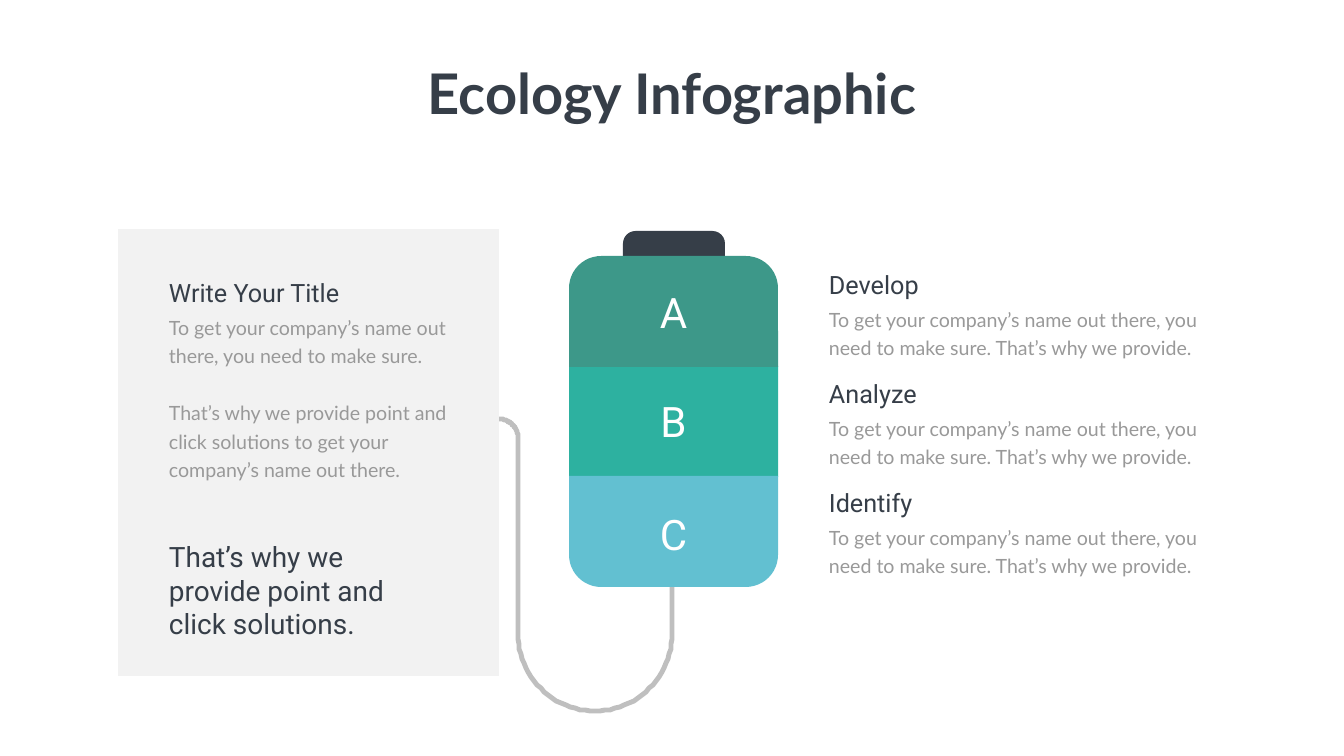
import math

import lxml.etree
import pptx
import pptx.dml.color
import pptx.enum.shapes
import pptx.enum.text
import pptx.oxml.ns
import pptx.util

# Content
TITLE = "Ecology Infographic"
PANEL_TITLE = "Write Your Title"
PANEL_BODY = [
    "To get your company’s name out there, you need to make sure.",
    "That’s why we provide point and click solutions to get your company’s name out there.",
]
PANEL_CLOSING = "That’s why we provide point and click solutions."
STEP_BODY = "To get your company’s name out there, you need to make sure. That’s why we provide."
STEPS = ["Develop", "Analyze", "Identify"]
# Letter, colour, letter top, corner rounding (top, bottom); A overlaps B
SEGMENTS = [
    ("A", "green", 284, (0.29, 0)),
    ("B", "teal", 393, (0, 0)),
    ("C", "sky", 506, (0, 0.29)),
]

# Style
COLORS = {"dark": "363E48", "muted": "999999", "gray": "808080", "white": "FFFFFF",
          "green": "3D9889", "teal": "2DB1A0", "sky": "62C0D1"}
FORMATS = {
    "title": {"name": "Lato", "size": 80, "bold": True, "color": "dark"},
    "heading": {"name": "Roboto", "size": 36, "color": "dark"},
    "closing": {"name": "Roboto", "size": 40, "color": "dark"},
    "letter": {"name": "Roboto", "size": 60, "color": "white"},
    "body": {"name": "Lato", "size": 28, "color": "muted"},
}
BODY_LEADING = pptx.util.Pt(40.8)
CENTER = pptx.enum.text.PP_ALIGN.CENTER
LEFT = pptx.enum.text.PP_ALIGN.LEFT
SHAPES = pptx.enum.shapes.MSO_SHAPE
SCALE = 914400 / 50.4

# Layout in px
SLIDE_SIZE = (1344, 756)
PANEL = (118, 229, 381, 447)
BATTERY_LEFT, BATTERY_TOP, BATTERY_WIDTH = 569, 256, 209
SEGMENT_HEIGHT, SEGMENT_PITCH = 111, 110
STEP_LEFT, STEP_TOP, STEP_PITCH, BODY_OFFSET = 824, 267, 109, 33


def px(value):
    return round(value * SCALE)


def rgb(name):
    return pptx.dml.color.RGBColor.from_string(COLORS[name])


def paint(fill, color, opacity=100):
    fill.solid()
    fill.fore_color.rgb = rgb(color)
    if opacity < 100:
        # The colour element sits inside the fill's solidFill
        element = fill._xPr.find(pptx.oxml.ns.qn("a:solidFill"))[0]
        alpha = lxml.etree.SubElement(element, pptx.oxml.ns.qn("a:alpha"))
        alpha.set("val", str(opacity * 1000))


def add_block(slide, preset, box, color, rounding=(), opacity=100):
    shape = slide.shapes.add_shape(preset, *map(px, box))
    shape.shadow.inherit = False
    shape.line.fill.background()
    paint(shape.fill, color, opacity)
    for index, value in enumerate(rounding):
        shape.adjustments[index] = value


def add_text(slide, box, texts, style, align=LEFT, wrap=True):
    frame = slide.shapes.add_textbox(*map(px, box)).text_frame
    frame.word_wrap = wrap
    frame.auto_size = pptx.enum.text.MSO_AUTO_SIZE.SHAPE_TO_FIT_TEXT
    for index, text in enumerate(texts):
        paragraph = frame.add_paragraph() if index else frame.paragraphs[0]
        paragraph.alignment = align
        if style == "body":
            paragraph.line_spacing = BODY_LEADING
            if index:
                paragraph.space_before = BODY_LEADING
        run = paragraph.add_run()
        run.text = text
        for key, value in FORMATS[style].items():
            if key == "color":
                run.font.color.rgb = rgb(value)
            else:
                setattr(run.font, key, pptx.util.Pt(value) if key == "size" else value)


def arc(center_x, center_y, radius, start, end, steps=48):
    angles = [math.radians(start + (end - start) * i / steps) for i in range(steps + 1)]
    return [(center_x + radius * math.cos(a), center_y + radius * math.sin(a)) for a in angles]


def add_cable(slide):
    points = arc(499, 438, 19, -90, 0) + arc(595, 634, 77, 180, 0) + [(672, 587)]
    builder = slide.shapes.build_freeform(*points[0], scale=SCALE)
    builder.add_line_segments(points[1:], close=False)
    cable = builder.convert_to_shape()
    cable.shadow.inherit = False
    cable.fill.background()
    cable.line.width = pptx.util.Pt(7)
    paint(cable.line.fill, "gray", 50)


def main():
    presentation = pptx.Presentation()
    presentation.slide_width, presentation.slide_height = map(px, SLIDE_SIZE)
    slide = presentation.slides.add_slide(presentation.slide_layouts[6])

    # Cable, battery cap and segments
    add_cable(slide)
    rounded = SHAPES.ROUND_2_SAME_RECTANGLE
    add_block(slide, rounded, (623, 231, 102, 25), "dark", (0.5, 0))
    for row in (1, 2, 0):
        letter, color, letter_top, rounding = SEGMENTS[row]
        box = (BATTERY_LEFT, BATTERY_TOP + row * SEGMENT_PITCH, BATTERY_WIDTH, SEGMENT_HEIGHT)
        add_block(slide, rounded, box, color, rounding)
    for letter, color, letter_top, rounding in SEGMENTS:
        add_text(slide, (639, letter_top, 69, 56), [letter], "letter", CENTER)

    # Left panel
    add_block(slide, SHAPES.RECTANGLE, PANEL, "gray", opacity=10)
    add_text(slide, (164, 308, 288, 176), PANEL_BODY, "body")
    add_text(slide, (164, 275, 288, 36), [PANEL_TITLE], "heading")
    add_text(slide, (164, 537, 268, 107), [PANEL_CLOSING], "closing")

    # Steps on the right
    for row, step in enumerate(STEPS):
        top = STEP_TOP + row * STEP_PITCH
        add_text(slide, (STEP_LEFT, top + BODY_OFFSET, 412, 60), [STEP_BODY], "body")
        add_text(slide, (STEP_LEFT, top, 221, 36), [step], "heading")

    # Title
    add_text(slide, (417, 56, 510, 73), [TITLE], "title", CENTER, wrap=False)

    presentation.save("out.pptx")


if __name__ == "__main__":
    main()
